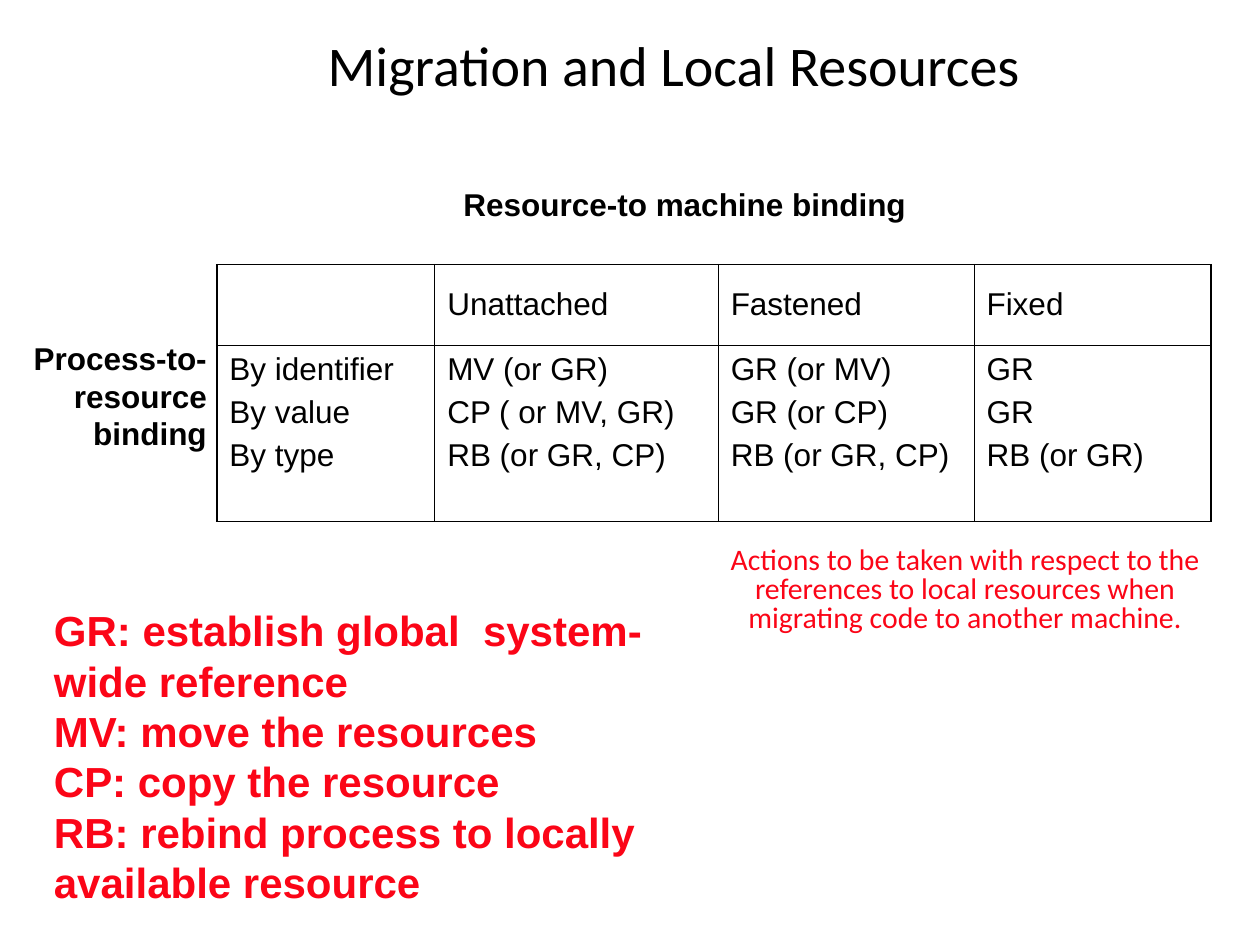
from dataclasses import dataclass

from lxml.etree import SubElement
from pptx import Presentation
from pptx.dml.color import RGBColor
from pptx.enum.text import MSO_ANCHOR, MSO_AUTO_SIZE, PP_ALIGN
from pptx.oxml.ns import qn
from pptx.util import Inches, Pt


@dataclass(frozen=True)
class Theme:
    ink: str = "000000"
    accent: str = "FB0517"
    heading_font: str = "Calibri"
    body_font: str = "Arial"
    title_size: float = 32
    legend_size: float = 24
    body_size: float = 18
    caption_size: float = 17
    outer_line: float = 1.08
    inner_line: float = 0.45


THEME = Theme()


def write_text(frame, lines, font=THEME.body_font, size=THEME.body_size,
               color=THEME.ink, bold=False, align=PP_ALIGN.LEFT,
               before=0, spacing=1.0, indent=0):
    """Fill a text frame with one paragraph per line."""
    for index, line in enumerate(lines):
        para = frame.paragraphs[0] if index == 0 else frame.add_paragraph()
        para.alignment = align
        para.space_before = Pt(before)
        para.line_spacing = spacing
        if indent:
            properties = para._p.get_or_add_pPr()
            properties.set("marL", str(Inches(indent)))
            properties.set("indent", "0")
        span = para.add_run()
        span.text = line
        span.font.name = font
        span.font.size = Pt(size)
        span.font.bold = bold
        span.font.color.rgb = RGBColor.from_string(color)


def set_border(cell, side, width, color):
    line = SubElement(cell._tc.get_or_add_tcPr(), qn(f"a:ln{side}"), w=str(Pt(width)))
    fill = SubElement(line, qn("a:solidFill"))
    SubElement(fill, qn("a:srgbClr"), val=color)


class PageBuilder:
    """Holds the theme and the current page."""

    def __init__(self, page, theme):
        self.page = page
        self.theme = theme

    def title(self, text, left, top, width, height):
        box = self.page.shapes.title
        box.left, box.top = Inches(left), Inches(top)
        box.width, box.height = Inches(width), Inches(height)
        frame = box.text_frame
        frame.auto_size = MSO_AUTO_SIZE.NONE
        frame.vertical_anchor = MSO_ANCHOR.MIDDLE
        write_text(frame, [text], font=self.theme.heading_font,
                   size=self.theme.title_size, spacing=0.9)

    def text(self, lines, left, top, width, height, **style):
        box = self.page.shapes.add_textbox(
            Inches(left), Inches(top), Inches(width), Inches(height))
        box.text_frame.word_wrap = True
        write_text(box.text_frame, lines, **style)

    def table(self, rows, left, top, widths, heights):
        table = self.page.shapes.add_table(
            len(rows), len(widths), Inches(left), Inches(top),
            Inches(sum(widths)), Inches(sum(heights))).table
        table.first_row = table.horz_banding = False
        for column, width in zip(table.columns, widths):
            column.width = Inches(width)
        for row, height in zip(table.rows, heights):
            row.height = Inches(height)

        last_row, last_column = len(rows) - 1, len(widths) - 1
        for r, row in enumerate(rows):
            for c, lines in enumerate(row):
                cell = table.cell(r, c)
                # Thicker lines on the outer edge, thin ones inside
                edges = {"L": c == 0, "R": c == last_column,
                         "T": r == 0, "B": r == last_row}
                for side, outer in edges.items():
                    width = self.theme.outer_line if outer else self.theme.inner_line
                    set_border(cell, side, width, self.theme.ink)
                cell.fill.background()
                cell.vertical_anchor = MSO_ANCHOR.MIDDLE if r == 0 else MSO_ANCHOR.TOP
                write_text(cell.text_frame, lines, before=4.5)


def main():
    deck = Presentation()
    deck.slide_width, deck.slide_height = Inches(10), Inches(7.5)
    page = deck.slides.add_slide(deck.slide_layouts[5])
    builder = PageBuilder(page, THEME)

    builder.title("Migration and Local Resources", 2.5, 0.25, 7.17, 0.58)

    # Caption below the table
    builder.text(
        ["Actions to be taken with respect to the references to local resources "
         "when migrating code to another machine."],
        5.33, 4.3, 4.47, 0.92, font=THEME.heading_font, size=THEME.caption_size,
        color=THEME.accent, align=PP_ALIGN.CENTER, before=7.5, spacing=0.8, indent=0.19)

    # Binding table
    builder.table(
        [[[], ["Unattached"], ["Fastened"], ["Fixed"]],
         [["By identifier", "By value", "By type"],
          ["MV (or GR)", "CP ( or MV, GR)", "RB (or GR, CP)"],
          ["GR (or MV)", "GR (or CP)", "RB (or GR, CP)"],
          ["GR", "GR", "RB (or GR)"]]],
        1.72, 2.1, widths=[1.73, 2.25, 2.03, 1.88], heights=[0.64, 1.4])

    # Axis labels
    builder.text(["Resource-to machine binding"], 3.21, 1.42, 4.45, 0.4,
                 bold=True, align=PP_ALIGN.CENTER, before=11.2)
    builder.text(["Process-to-resource binding"], 0, 2.64, 1.74, 1,
                 bold=True, align=PP_ALIGN.RIGHT, before=11.2)

    # Legend of abbreviations
    builder.text(
        ["GR: establish global  system-wide reference",
         "MV: move the resources",
         "CP: copy the resource",
         "RB: rebind process to locally available resource"],
        0.33, 4.75, 5, 2.5, size=THEME.legend_size, color=THEME.accent, bold=True)

    deck.save("out.pptx")


if __name__ == "__main__":
    main()
